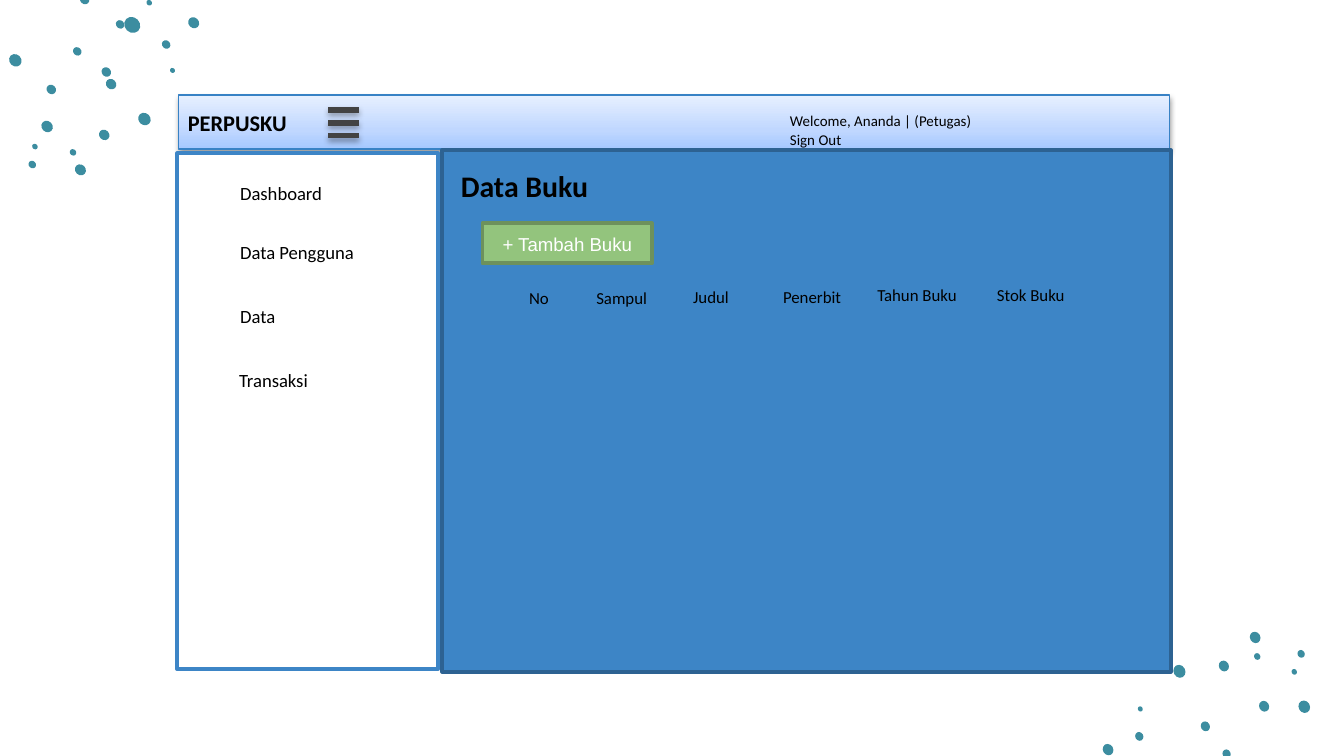
from dataclasses import dataclass

from lxml.etree import SubElement
from pptx import Presentation
from pptx.dml.color import RGBColor
from pptx.enum.shapes import MSO_CONNECTOR, MSO_SHAPE
from pptx.enum.text import MSO_ANCHOR, PP_ALIGN
from pptx.oxml.ns import qn
from pptx.util import Cm, Pt


@dataclass(frozen=True)
class Theme:
    dot: str = "3C8DA0"
    panel: str = "3D85C6"
    panel_edge: str = "2D6292"
    header_edge: str = "3882C5"
    header_stops: tuple = ((0, "A5C8FF"), (35, "C0D7FF"), (100, "E7F0FF"))
    bar: str = "434343"
    button: str = "93C47D"
    button_edge: str = "6D915C"
    ink: str = "000000"
    paper: str = "FFFFFF"
    font: str = "Calibri"
    button_font: str = "Arial"
    heading: int = 16
    brand: int = 12
    menu: int = 10
    column: int = 9
    account: int = 8


THEME = Theme()

TOP_DOTS = (
    (2.5, 0.47, 0.32), (2.82, 0.05, 0.11), (1.6, -0.01, 0.19), (2.27, 0.46, 0.17),
    (1.46, 0.97, 0.17), (2.01, 1.36, 0.19), (2.1, 1.59, 0.21), (0.97, 1.69, 0.19),
    (1.97, 2.55, 0.21), (0.89, 2.39, 0.23), (1.38, 2.88, 0.13), (1.52, 3.21, 0.22),
    (0.66, 2.77, 0.11), (0.61, 3.11, 0.15), (2.73, 2.25, 0.25), (3.66, 0.43, 0.22),
    (3.14, 0.84, 0.17), (3.26, 1.33, 0.1), (0.29, 1.14, 0.25),
)
BOTTOM_DOTS = (
    (2.38, 2.35, 0.17), (1.98, 1.83, 0.19), (3.09, 1.45, 0.21), (2.33, 0.69, 0.21),
    (2.96, 0.51, 0.13), (2.92, 0.15, 0.22), (3.66, 0.8, 0.11), (3.79, 0.46, 0.15),
    (1.49, 0.79, 0.25), (0.14, 2.27, 0.22), (0.73, 2.02, 0.17), (0.75, 1.5, 0.1),
    (3.85, 1.46, 0.24),
)
MENU = (
    ("Dashboard", 0.94, 0.38), ("Data Pengguna", 0.94, 1.49),
    ("Data", 0.94, 2.71), ("Transaksi", 0.92, 3.91),
)
COLUMNS = (
    ("No", 1.39, 2.44, 1.17), ("Sampul", 2.66, 2.44, 1.75),
    ("Judul", 4.49, 2.42, 1.55), ("Penerbit", 6.19, 2.42, 2.16),
    ("Tahun Buku", 7.97, 2.39, 2.39), ("Stok Buku", 10.23, 2.39, 2.31),
)


def assign(target, values):
    for name, value in values.items():
        setattr(target, name, value)


def lengths(*values):
    return [Cm(value) for value in values]


def write(shape, text, size, color=THEME.ink, font=THEME.font, bold=False,
          alignment=PP_ALIGN.LEFT, anchor=MSO_ANCHOR.TOP):
    assign(shape.text_frame, {"word_wrap": True, "vertical_anchor": anchor})
    paragraph = shape.text_frame.paragraphs[0]
    paragraph.text = text
    assign(paragraph, {"alignment": alignment, "line_spacing": 1.07, "space_after": Pt(8)})
    for run in paragraph.runs:
        assign(run.font, {"name": font, "size": Pt(size), "bold": bold})
        run.font.color.rgb = RGBColor.from_string(color)


def add_label(slide, box, text, size, bold=False):
    write(slide.shapes.add_textbox(*lengths(*box)), text, size, bold=bold)


def add_block(slide, box, fill, edge, width=2, kind=MSO_SHAPE.RECTANGLE):
    shape = slide.shapes.add_shape(kind, *lengths(*box))
    shape.shadow.inherit = False
    shape.fill.solid()
    shape.fill.fore_color.rgb = RGBColor.from_string(fill)
    if edge:
        shape.line.color.rgb = RGBColor.from_string(edge)
        shape.line.width = Pt(width)
    else:
        shape.line.fill.background()
    return shape


def add_color(parent, color):
    return SubElement(parent, qn("a:srgbClr"), val=color)


def add_shadow(shape, opacity, distance):
    properties = shape._element.spPr
    effects = properties.find(qn("a:effectLst"))
    if effects is None:
        effects = SubElement(properties, qn("a:effectLst"))
    shadow = SubElement(effects, qn("a:outerShdw"), blurRad=str(Pt(3.1)),
                        dist=str(Pt(distance)), dir="5400000", rotWithShape="0")
    SubElement(add_color(shadow, THEME.ink), qn("a:alpha"), val=str(opacity * 1000))


def fill_gradient(shape, stops, angle):
    shape.fill.gradient()
    gradient = shape._element.spPr.find(qn("a:gradFill"))
    stop_list = gradient.find(qn("a:gsLst"))
    for stop in list(stop_list):
        stop_list.remove(stop)
    for position, color in stops:
        add_color(SubElement(stop_list, qn("a:gs"), pos=str(position * 1000)), color)
    assign_angle = gradient.find(qn("a:lin"))
    assign_angle.set("ang", str(angle * 60000))


def add_dots(slide, left, top, dots, rotation):
    for x, y, length in dots:
        breadth = 0.89 * length
        box = (left + x - length / 2, top + y - breadth / 2, length, breadth)
        add_block(slide, box, THEME.dot, None, kind=MSO_SHAPE.OVAL).rotation = rotation


def add_header(slide, left, top, width, height):
    header = add_block(slide, (left, top, width, height), THEME.paper, THEME.header_edge, 0.75)
    fill_gradient(header, THEME.header_stops, 270)
    add_shadow(header, 38, 1.6)
    add_label(slide, (left - 0.08, top + 0.1, 2.82, 0.91), "PERPUSKU", THEME.brand, True)
    for index in range(3):
        x, y = left + 2.82, top + 0.28 + 0.24 * index
        bar = slide.shapes.add_connector(MSO_CONNECTOR.STRAIGHT, *lengths(x, y, x + 0.58, y))
        bar.line.color.rgb = RGBColor.from_string(THEME.bar)
        bar.line.width = Pt(3)
        add_shadow(bar, 35, 1.8)
    add_label(slide, (left + 11.3, top + 0.16, 7.47, 0.76),
              "Welcome, Ananda | (Petugas)\vSign Out", THEME.account)


def add_sidebar(slide, left, top, width, height):
    add_block(slide, (left, top, width, height), THEME.paper, THEME.panel)
    for text, x, y in MENU:
        add_label(slide, (left + x, top + y, 3.2, 0.84), text, THEME.menu)


def add_content(slide, left, top, width, height):
    add_block(slide, (left, top, width, height), THEME.panel, THEME.panel_edge)
    add_label(slide, (left + 0.1, top + 0.16, 4.67, 1.04), "Data Buku", THEME.heading, True)
    for text, x, y, column_width in COLUMNS:
        add_label(slide, (left + x, top + y, column_width, 0.84), text, THEME.column)
    button = add_block(slide, (left + 0.76, top + 1.38, 3.2, 0.76),
                       THEME.button, THEME.button_edge)
    write(button, "+ Tambah Buku", THEME.menu, THEME.paper, THEME.button_font,
          alignment=PP_ALIGN.CENTER, anchor=MSO_ANCHOR.MIDDLE)


def main():
    presentation = Presentation()
    assign(presentation, {"slide_width": Cm(25.4), "slide_height": Cm(14.29)})
    slide = presentation.slides.add_slide(presentation.slide_layouts[6])
    add_dots(slide, 0, 0, TOP_DOTS, 225)
    add_dots(slide, 20.8, 11.9, BOTTOM_DOTS, 60.3)
    add_header(slide, 3.38, 1.8, 18.72, 1.02)
    add_sidebar(slide, 3.35, 2.9, 4.93, 9.75)
    add_content(slide, 8.36, 2.84, 13.77, 9.86)
    presentation.save("out.pptx")


if __name__ == "__main__":
    main()
